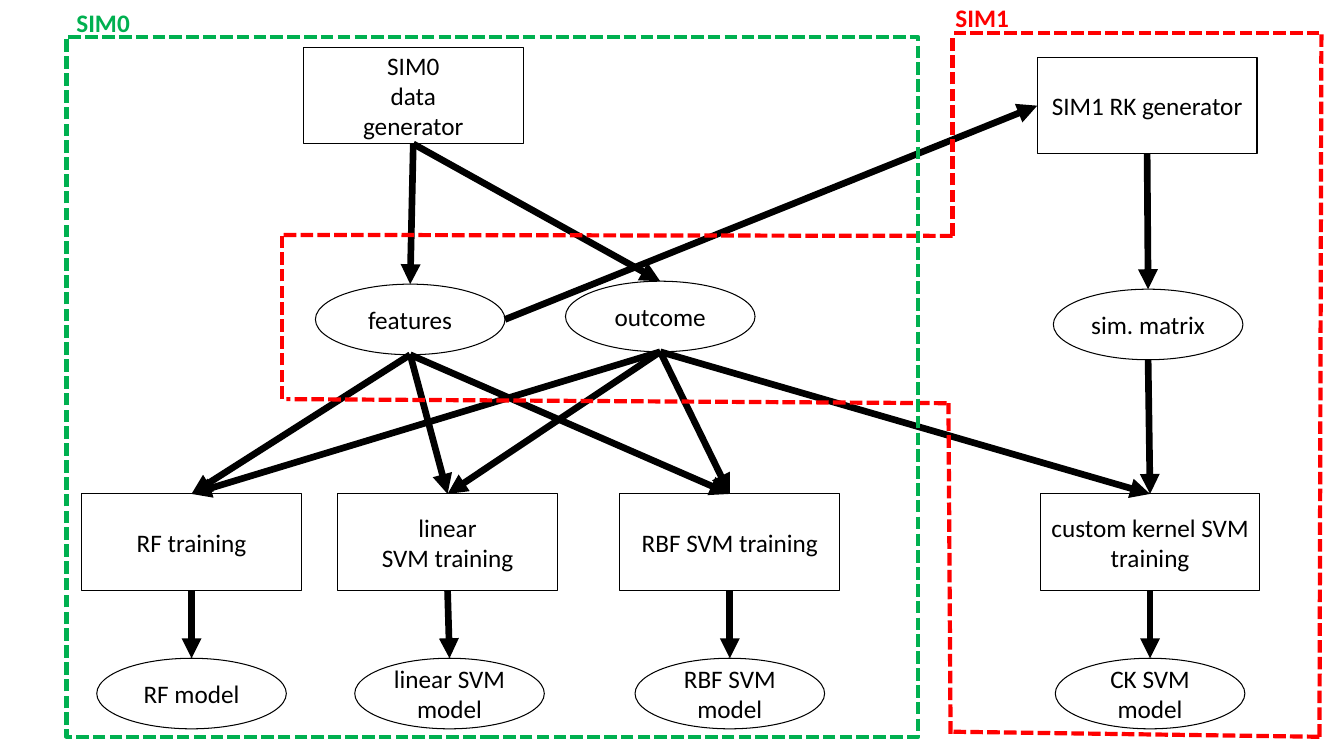
from lxml import etree
from pptx import Presentation
from pptx.dml.color import RGBColor
from pptx.enum.dml import MSO_LINE
from pptx.enum.shapes import MSO_CONNECTOR, MSO_SHAPE
from pptx.enum.text import MSO_ANCHOR, PP_ALIGN
from pptx.oxml.ns import qn
from pptx.util import Pt

RECT, OVAL = MSO_SHAPE.RECTANGLE, MSO_SHAPE.OVAL
LINE, DASH = MSO_CONNECTOR.STRAIGHT, MSO_LINE.SQUARE_DOT
MID, CENTER = MSO_ANCHOR.MIDDLE, PP_ALIGN.CENTER
SIZES = {RECT: (157, 69), OVAL: (135.4, 50.4)}
BLACK, GREEN, RED = "000000", "00B050", "FF0000"


def color(code):
    """Turn a hex string into a colour."""
    return RGBColor.from_string(code)


def pen(line, code, width, dash=None):
    """Set colour, width and dash of a line."""
    line.color.rgb = color(code)
    line.width = Pt(width)
    if dash:
        line.dash_style = dash


def write(frame, text, code, bold=False, align=None):
    """Fill a text frame and format all its runs."""
    frame.text = text
    for par in frame.paragraphs:
        par.alignment = align
        for run in par.runs:
            run.font.name, run.font.size = "Calibri", Pt(18)
            run.font.bold = bold
            run.font.color.rgb = color(code)


def node(slide, box, kind, mid, top, text):
    """Add a step or a result, centred at mid in the box."""
    wide, high = SIZES[kind]
    shape = slide.shapes.add_shape(
        kind, Pt(box[0] + mid - wide / 2), Pt(box[1] + top), Pt(wide), Pt(high))
    shape.shadow.inherit = False
    shape.fill.background()
    pen(shape.line, BLACK, 0.75)
    shape.text_frame.word_wrap = True
    shape.text_frame.vertical_anchor = MID
    write(shape.text_frame, text, BLACK, align=CENTER)
    return shape


def head(shape):
    """Give the top centre of a shape."""
    return shape.left + shape.width // 2, shape.top


def foot(shape):
    """Give the bottom centre of a shape."""
    return shape.left + shape.width // 2, shape.top + shape.height


def side(shape, right):
    """Give the middle of the left or right edge."""
    return shape.left + shape.width * right, shape.top + shape.height // 2


def stroke(slide, start, end, code, width, dash=None):
    """Draw a straight line without a shadow."""
    link = slide.shapes.add_connector(LINE, *start, *end)
    pen(link.line, code, width, dash)
    etree.SubElement(link._element.spPr, qn("a:effectLst"))
    return link


def arrow(slide, start, end):
    """Draw a thick black arrow."""
    link = stroke(slide, start, end, BLACK, 4.75)
    etree.SubElement(link.line._get_or_add_ln(), qn("a:tailEnd"), type="triangle")


def label(slide, box, left, text, code):
    """Name a region above its frame."""
    shape = slide.shapes.add_textbox(
        Pt(box[0] + left), Pt(box[1] - 25.2), Pt(100), Pt(29))
    shape.text_frame.word_wrap = True
    write(shape.text_frame, text, code, bold=True)


def base(slide, box):
    """Place the SIM0 nodes; return the data nodes and training steps."""
    maker = node(slide, box, RECT, 247.7, 7.2, "SIM0\ndata\ngenerator")
    traits = node(slide, box, OVAL, 245.5, 176.4, "features")
    target = node(slide, box, OVAL, 424.1, 174.3, "outcome")
    steps = []
    for mid, shift, step, model in (
            (89.3, 0, "RF training", "RF model"),
            (272.2, 1.4, "linear\nSVM training", "linear SVM model"),
            (473.8, 0, "RBF SVM training", "RBF SVM model")):
        train = node(slide, box, RECT, mid, 326.2, step)
        fit = node(slide, box, OVAL, mid + shift, 443.6, model)
        arrow(slide, foot(train), head(fit))
        steps.append(train)
    for item in (target, traits):
        arrow(slide, foot(maker), head(item))
        for step in steps:
            arrow(slide, foot(item), head(step))
    return traits, target


def kernel(slide, box):
    """Place the SIM1 chain; return its generator and training step."""
    chain = [node(slide, box, *spec) for spec in (
        (RECT, 617.8, 18, "SIM1 RK generator"),
        (OVAL, 618.5, 183.6, "sim. matrix"),
        (RECT, 619.9, 329.8, "custom kernel SVM training"),
        (OVAL, 619.9, 447.2, "CK SVM model"))]
    for prior, later in zip(chain, chain[1:]):
        arrow(slide, foot(prior), head(later))
    return chain[0], chain[2]


def fence(slide, box):
    """Outline SIM1 with dashed edges, reaching around the features."""
    label(slide, box, 473.8, "SIM1", RED)
    for x1, y1, x2, y2 in (
            (478.8, 145.5, 0, 144.8), (474.5, 265, 2.9, 262.1),
            (0, 262.1, 0, 145.5), (740.9, 0.8, 478.8, 0.8),
            (478.8, 145.5, 478.8, 3.6), (477.4, 501.2, 475.9, 265),
            (740.9, 503.3, 742.3, 0), (479.5, 499.7, 742.3, 503.3)):
        stroke(slide, (Pt(box[0] + x1), Pt(box[1] + y1)),
               (Pt(box[0] + x2), Pt(box[1] + y2)), RED, 3, DASH)


def frame(slide, box):
    """Outline SIM0 with a dashed rectangle."""
    label(slide, box, 0, "SIM0", GREEN)
    shape = slide.shapes.add_shape(RECT, *map(Pt, box))
    shape.shadow.inherit = False
    shape.fill.background()
    pen(shape.line, GREEN, 3, DASH)


def build():
    """Build the slide and save it."""
    deck = Presentation()
    deck.slide_width, deck.slide_height = Pt(960), Pt(540)
    slide = deck.slides.add_slide(deck.slide_layouts[6])
    green, red = (47.5, 26.6, 608.4, 499.7), (201.6, 23)
    traits, target = base(slide, green)
    maker, train = kernel(slide, red)
    arrow(slide, side(traits, True), side(maker, False))
    arrow(slide, foot(target), head(train))
    fence(slide, red)
    frame(slide, green)
    deck.save("out.pptx")


build()
